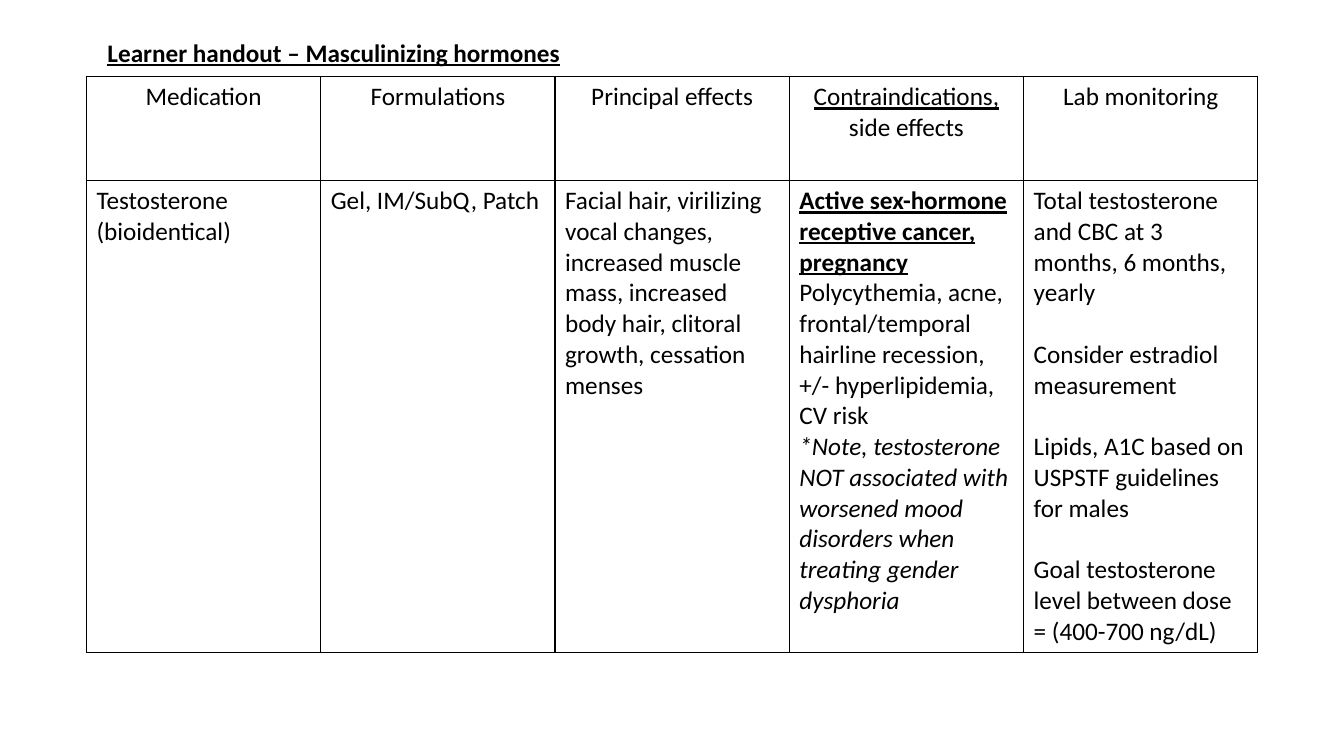
from lxml import etree
from pptx import Presentation
from pptx import util as u
from pptx.dml.color import RGBColor
from pptx.enum import text
from pptx.oxml.ns import qn

FONT = "Calibri"
SIZE = u.Pt(18)
BLACK = "000000"
BLANK_LINE = u.Pt(22)

HEADINGS = [
    [[("Medication", "")]],
    [[("Formulations", "")]],
    [[("Principal effects", "")]],
    [[("Contraindications, ", "u"), ("side effects", "")]],
    [[("Lab monitoring", "")]],
]
TESTOSTERONE = [
    [[("Testosterone (bioidentical)", "")]],
    [[("Gel, IM/SubQ, Patch", "")]],
    [[("Facial hair, virilizing vocal changes, increased muscle mass, "
       "increased body hair, clitoral growth, cessation menses", "")]],
    [[("Active sex-hormone receptive cancer, pregnancy", "bu")],
     [("Polycythemia, acne, frontal/temporal hairline recession, "
       "+/- hyperlipidemia, CV risk", "")],
     [("*Note, testosterone NOT associated with worsened mood disorders "
       "when treating gender dysphoria", "i")]],
    [[("Total testosterone and CBC at 3 months, 6 months, yearly", "")],
     [("Consider estradiol measurement", "")],
     [("Lipids, A1C based on USPSTF guidelines for males", "")],
     [("Goal testosterone level between dose = (400-700 ng/dL)", "")]],
]


def color(value):
    return RGBColor.from_string(value)


def write(frame, paras, align=text.PP_ALIGN.LEFT, gap=0):
    """Fill a frame with paragraphs of (wording, style letters b, i, u)."""
    for index, spans in enumerate(paras):
        para = frame.paragraphs[0] if index == 0 else frame.add_paragraph()
        para.alignment = align
        if index and gap:
            para.space_before = gap
        for wording, style in spans:
            span = para.add_run()
            span.text = wording
            font = span.font
            font.name, font.size = FONT, SIZE
            font.color.rgb = color(BLACK)
            font.bold = "b" in style
            font.italic = "i" in style
            font.underline = "u" in style


def outline(cell):
    """Draw a thin black border on every side of an unfilled cell."""
    properties = cell._tc.get_or_add_tcPr()
    for side in ("a:lnL", "a:lnR", "a:lnT", "a:lnB"):
        line = etree.SubElement(properties, qn(side), w=str(u.Pt(1)))
        fill = etree.SubElement(line, qn("a:solidFill"))
        etree.SubElement(fill, qn("a:srgbClr"), val=BLACK)
    cell.fill.background()


def add_title(page, left, top, width, height):
    frame = page.shapes.add_textbox(left, top, width, height).text_frame
    frame.word_wrap = True
    frame.vertical_anchor = text.MSO_ANCHOR.BOTTOM
    write(frame, [[("Learner handout – Masculinizing hormones", "bu")]])
    frame.paragraphs[0].line_spacing = 0.9


def add_hormone_table(page, left, top, width, height):
    rows = [HEADINGS, TESTOSTERONE]
    count = len(HEADINGS)
    table = page.shapes.add_table(len(rows), count, left, top, width, height).table
    table.first_row = table.horz_banding = False
    for column in table.columns:
        column.width = width // count
    heading_height = u.Cm(2.62)
    table.rows[0].height = heading_height
    table.rows[1].height = height - heading_height

    for row, contents in enumerate(rows):
        align = text.PP_ALIGN.LEFT if row else text.PP_ALIGN.CENTER
        for column, paras in enumerate(contents):
            cell = table.cell(row, column)
            is_lab = column == count - 1
            write(cell.text_frame, paras, align, BLANK_LINE if is_lab else 0)
            outline(cell)


def main():
    deck = Presentation()
    deck.slide_width, deck.slide_height = u.Cm(33.87), u.Cm(19.05)
    page = deck.slides.add_slide(deck.slide_layouts[6])
    add_hormone_table(page, u.Cm(2.18), u.Cm(1.93), u.Cm(29.52), u.Cm(14.48))
    add_title(page, u.Cm(2.46), u.Cm(0.53), u.Cm(29.21), u.Cm(1.3))
    deck.save("out.pptx")


if __name__ == "__main__":
    main()
